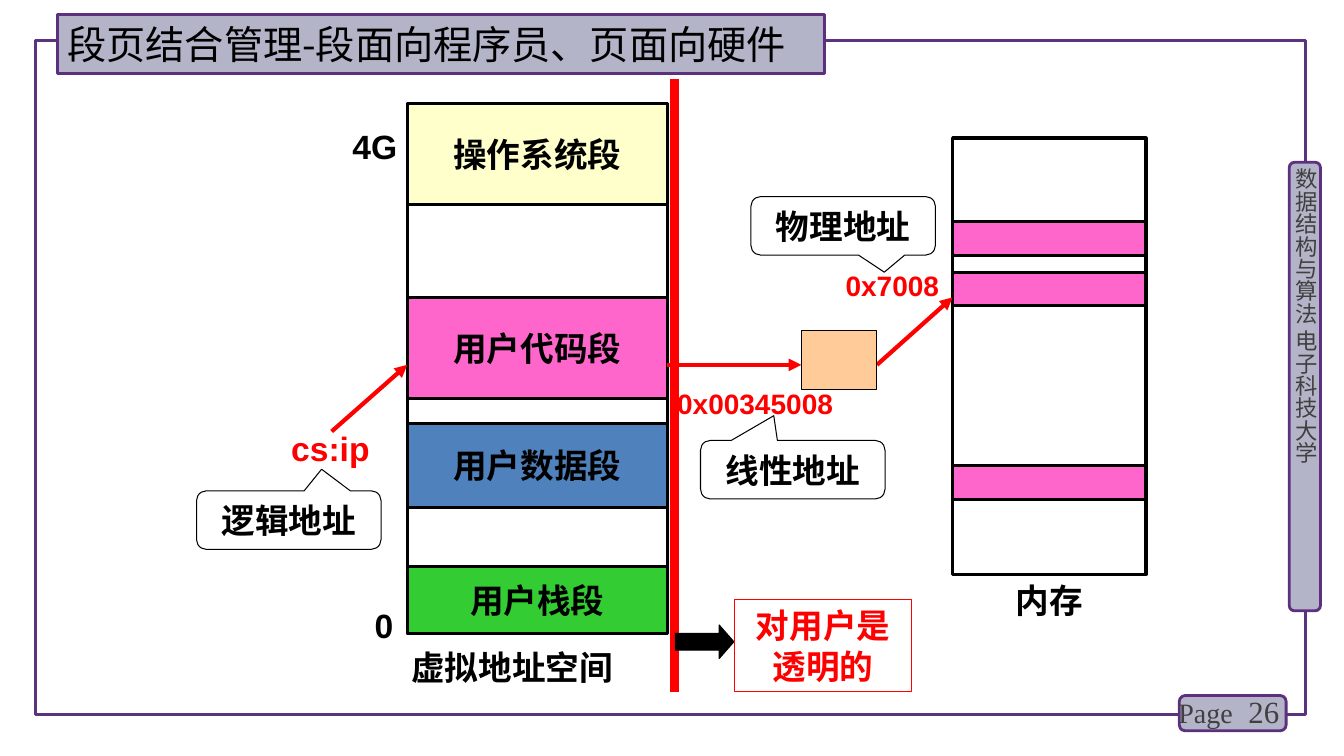
import pptx
import pptx.util
import pptx.dml.color
import pptx.enum.shapes
import pptx.enum.text
import pptx.oxml.ns
from lxml import etree

Pt = pptx.util.Pt
qn = pptx.oxml.ns.qn
KIND = pptx.enum.shapes.MSO_SHAPE
ALIGN = pptx.enum.text.PP_ALIGN
ANCHOR = pptx.enum.text.MSO_ANCHOR

HEX = {
    "black": "000000", "white": "FFFFFF", "red": "FF0000", "grey": "404040",
    "frame": "5A327D", "edge": "5C307D", "lilac": "B4B4C8",
    "cream": "FFFFCC", "pink": "FF66CC", "blue": "4F81BD",
    "green": "33CC33", "peach": "FFCC99",
}
SANS, SERIF, HAN = "Arial", "Times New Roman", "Noto Sans CJK SC"


def rgb(name):
    return pptx.dml.color.RGBColor.from_string(HEX[name])


def write(shape, text, size=24, color="black", font=SANS, bold=True,
          align=ALIGN.CENTER, anchor=ANCHOR.MIDDLE):
    frame = shape.text_frame
    frame.word_wrap = True
    frame.auto_size = pptx.enum.text.MSO_AUTO_SIZE.NONE
    frame.vertical_anchor = anchor
    frame.text = text
    para = frame.paragraphs[0]
    para.alignment = align
    para.font.size = Pt(size)
    para.font.bold = bold
    para.font.name = font
    para.font.color.rgb = rgb(color)
    props = para._p.pPr.find(qn("a:defRPr"))
    etree.SubElement(props, qn("a:ea"), typeface=HAN)


def paint(shape, fill, line, width):
    if fill:
        shape.fill.solid()
        shape.fill.fore_color.rgb = rgb(fill)
    else:
        shape.fill.background()
    shape.line.color.rgb = rgb(line)
    shape.line.width = Pt(width)


def add_box(slide, at, fill=None, line="black", width=2.25,
            kind=KIND.RECTANGLE, adjust=()):
    shape = slide.shapes.add_shape(kind, *map(Pt, at))
    shape.shadow.inherit = False
    for index, value in enumerate(adjust):
        shape.adjustments[index] = value
    paint(shape, fill, line, width)
    return shape


def add_label(slide, at, text, **style):
    label = slide.shapes.add_textbox(*map(Pt, at))
    write(label, text, **{"anchor": ANCHOR.TOP, **style})
    return label


def add_line(slide, start, end, width=3, arrow=True):
    line = slide.shapes.add_connector(
        pptx.enum.shapes.MSO_CONNECTOR.STRAIGHT, *map(Pt, start + end))
    line.line.color.rgb = rgb("red")
    line.line.width = Pt(width)
    if arrow:
        etree.SubElement(line.line._get_or_add_ln(), qn("a:tailEnd"),
                         type="triangle")
    etree.SubElement(line._element.spPr, qn("a:effectLst"))


def add_callout(slide, left, top, text, tip):
    """Add a speech bubble; tip is measured from its centre in box sizes."""
    shape = add_box(slide, (left, top, 131.8, 41.8), "white", width=0.75,
                    kind=KIND.ROUNDED_RECTANGULAR_CALLOUT,
                    adjust=(*tip, 0.167))
    write(shape, text)


def add_title(slide, text):
    title = slide.shapes.title
    title.left, title.top, title.width, title.height = map(
        Pt, (41, 10.1, 547.9, 42.5))
    etree.SubElement(title._element.spPr, qn("a:prstGeom"), prst="roundRect")
    paint(title, "lilac", "edge", 2)
    write(title, text, size=28, font=HAN, bold=False, align=ALIGN.LEFT)
    # The title lies over the border line
    slide.shapes._spTree.append(title._element)


def add_border(slide):
    add_box(slide, (25.2, 28.8, 907.2, 481.7), line="frame")
    for at in (920.9, 115.9, 22.3, 320.4), (842.4, 496.8, 76.3, 25.2):
        add_box(slide, at, "lilac", "edge", 2, KIND.ROUNDED_RECTANGLE)
    plain = {"color": "grey", "bold": False}
    side = add_label(slide, (923, 120.2, 19.4, 323),
                     "数据结构与算法 电子科技大学", size=16, font=HAN,
                     align=ALIGN.LEFT, **plain)
    frame = side.text_frame
    frame.margin_left = frame.margin_right = 0
    frame.margin_top = frame.margin_bottom = 0
    frame._txBody.bodyPr.set("vert", "eaVert")
    add_label(slide, (854.6, 493.9, 66.2, 28.8), "26", size=22, font=SERIF,
              align=ALIGN.RIGHT, anchor=ANCHOR.MIDDLE, **plain)
    add_label(slide, (841.7, 493.2, 60, 31.7), "Page", size=20, font=SERIF,
              align=ALIGN.LEFT, **plain).text_frame.margin_left = 0


def add_space(slide):
    """Add the virtual address space with its segments."""
    left, top, width = 290.9, 74.2, 185.8
    add_box(slide, (left, top, width, 378))
    for y, height, fill, name in (
            (top, 72, "cream", "操作系统段"),
            (212.4, 72, "pink", "用户代码段"),
            (302.4, 60, "blue", "用户数据段"),
            (404.6, 48, "green", "用户栈段")):
        write(add_box(slide, (left, y, width, height), fill), name)
    add_label(slide, (188.6, 86.4, 102.2, 36), "4G", align=ALIGN.RIGHT)
    add_label(slide, (260.6, 428.4, 30.2, 36), "0", align=ALIGN.LEFT)
    add_label(slide, (272.9, 458.6, width, 36.7), "虚拟地址空间")


def add_memory(slide):
    left, width = 680.4, 138.2
    add_box(slide, (left, 98.6, width, 311.8))
    for y in (158.4, 194.4, 332.6):
        add_box(slide, (left, y, width, 24), "pink")
    add_label(slide, (left, 410.4, width, 36), "内存")


def add_route(slide):
    """Add the way from logical to linear to physical address."""
    add_line(slide, (236.9, 308.2), (290.9, 260.6))
    add_line(slide, (476.6, 260.6), (572.4, 260.6))
    add_line(slide, (626.4, 260.6), (680.4, 212.4))
    add_box(slide, (572.4, 236.2, 54, 41.8), "peach", width=0.75)
    add_callout(slide, 140.4, 350.6, "逻辑地址", (0.178, -0.869))
    add_callout(slide, 500.4, 314.6, "线性地址", (-0.103, -0.923))
    add_callout(slide, 536.4, 140.4, "物理地址", (0.223, 0.792))
    for at, text, size in (
            ((200.9, 302.4, 77.8, 36), "cs:ip", 24),
            ((476.6, 272.2, 156.2, 31), "0x00345008", 20),
            ((596.9, 188.6, 90, 31), "0x7008", 20)):
        add_label(slide, at, text, size=size, color="red", align=ALIGN.LEFT)


def add_divide(slide):
    add_line(slide, (481.7, 56.2), (481.7, 494.6), width=6, arrow=False)
    add_box(slide, (482.4, 446.4, 41.8, 24), "black", width=0.75,
            kind=KIND.RIGHT_ARROW, adjust=(0.5, 0.438))
    note = add_box(slide, (524.9, 428.4, 126, 65.5), line="red", width=0.75)
    write(note, "对用户是透明的", color="red")


def main():
    deck = pptx.Presentation()
    deck.slide_width, deck.slide_height = Pt(960), Pt(540)
    slide = deck.slides.add_slide(deck.slide_layouts[5])
    add_border(slide)
    add_space(slide)
    add_memory(slide)
    add_route(slide)
    add_divide(slide)
    add_title(slide, "段页结合管理-段面向程序员、页面向硬件")
    deck.save("out.pptx")


if __name__ == "__main__":
    main()
